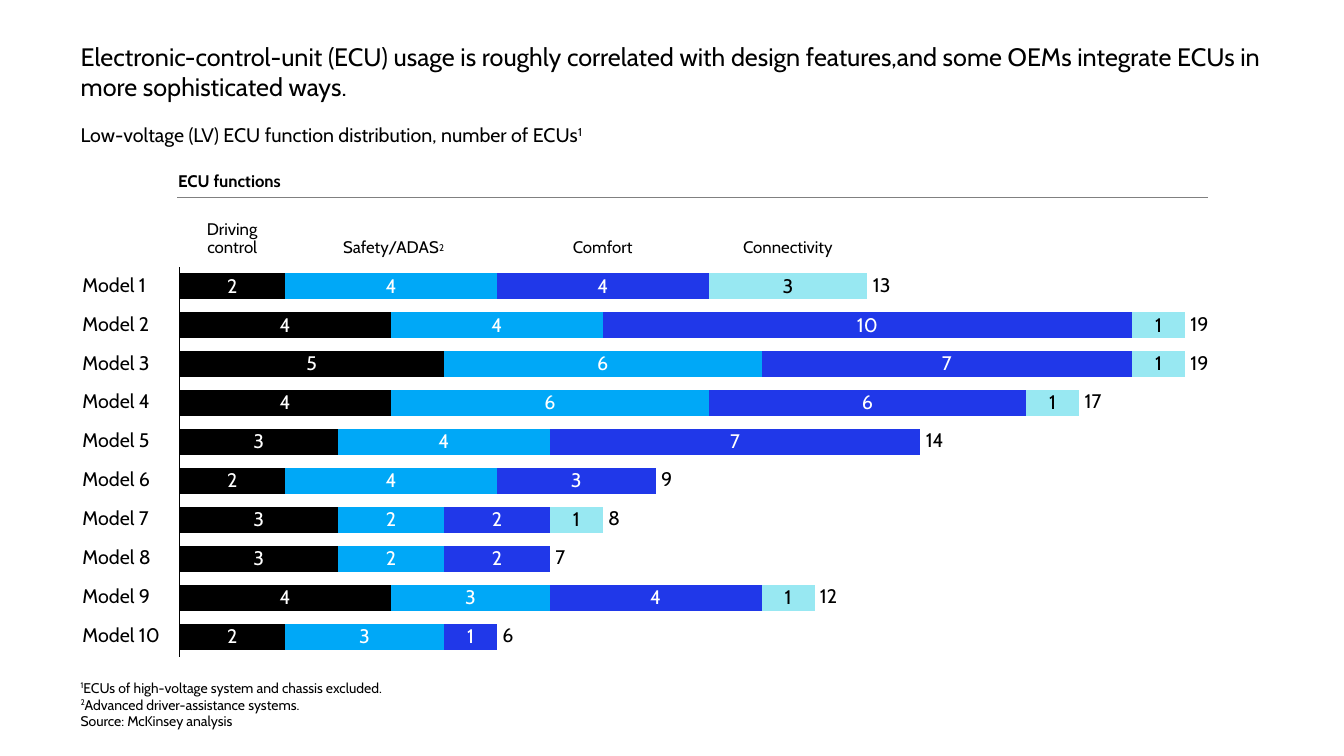
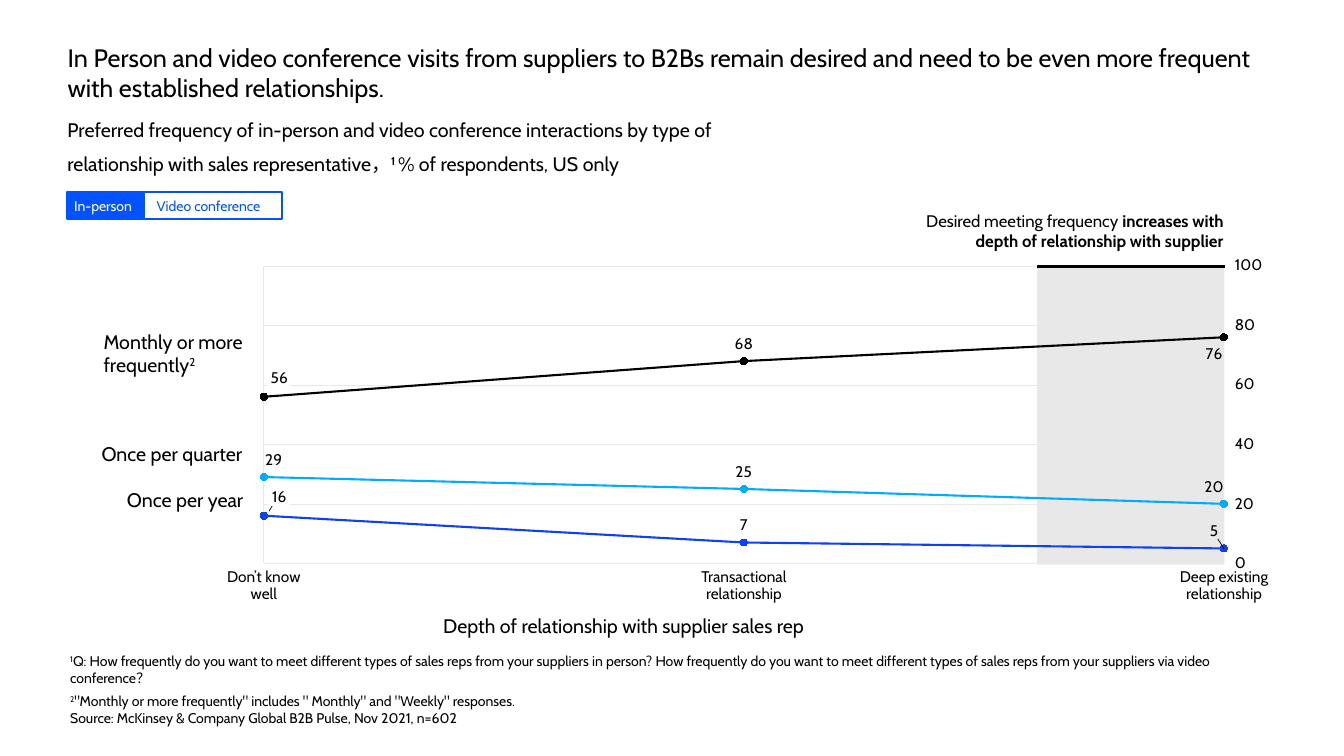
from dataclasses import dataclass
from itertools import accumulate

from lxml import etree
from pptx import Presentation
from pptx.chart.data import CategoryChartData
from pptx.dml.color import RGBColor
from pptx.enum.chart import (XL_CHART_TYPE as CT, XL_LABEL_POSITION as POS,
                             XL_MARKER_STYLE as MARKER, XL_TICK_LABEL_POSITION as TICK_LABEL,
                             XL_TICK_MARK as TICK)
from pptx.enum.shapes import MSO_CONNECTOR as CONN, MSO_SHAPE as SHAPE
from pptx.enum.text import MSO_ANCHOR as ANCHOR, MSO_AUTO_SIZE as AUTO, PP_ALIGN as ALIGN
from pptx.oxml import parse_xml
from pptx.oxml.ns import nsdecls, qn
from pptx.util import Cm, Pt

FONT, EAST_FONT = "Cabin", "Noto Sans CJK SC"
BLACK, WHITE, GREY, PALE = "000000", "FFFFFF", "808080", "E8E8E8"
SKY, ROYAL, AQUA = "00A8F7", "2038E9", "98E8F2"
LINE_SKY, LINE_BLUE, ACCENT = "00ACFB", "1041EF", "0352FF"


@dataclass(frozen=True)
class Run:
    text: str
    bold: bool = False
    sup: bool = False


@dataclass(frozen=True)
class Box:
    """Position and size in centimetres."""
    x: float
    y: float
    w: float
    h: float

    def emu(self) -> tuple:
        return Cm(self.x), Cm(self.y), Cm(self.w), Cm(self.h)


@dataclass(frozen=True)
class Label:
    """Text with its box; each paragraph is a tuple of runs."""
    box: Box
    paras: tuple
    size: float = 14
    color: str = BLACK
    align: ALIGN = ALIGN.LEFT
    anchor: ANCHOR = ANCHOR.TOP
    inset: float | None = None
    spacing: float | None = None
    wrap: bool = False
    fill: str | None = None
    border: str | None = None


@dataclass(frozen=True)
class Series:
    name: str
    values: tuple
    color: str
    label_color: str = WHITE


@dataclass(frozen=True)
class PointLabel:
    """Label of one line point; shift is a share of the chart width."""
    series: int
    point: int
    pos: POS = POS.ABOVE
    shift: float = 0


def rgb(color: str) -> RGBColor:
    return RGBColor.from_string(color)


def one(text: str, **kw) -> tuple:
    """A single paragraph with a single run."""
    return ((Run(text, **kw),),)


def write(tf, label: Label) -> None:
    tf.auto_size = AUTO.NONE
    tf.word_wrap = label.wrap
    tf.vertical_anchor = label.anchor
    if label.inset is not None:
        tf.margin_left = tf.margin_right = Cm(label.inset)
        tf.margin_top = tf.margin_bottom = 0
    for i, runs in enumerate(label.paras):
        p = tf.paragraphs[0] if i == 0 else tf.add_paragraph()
        p.alignment = label.align
        if label.spacing:
            p.line_spacing = label.spacing
        for run in runs:
            for j, piece in enumerate(run.text.split("\n")):
                if j:
                    p.add_line_break()
                r = p.add_run()
                r.text = piece
                r.font.size, r.font.name, r.font.bold = Pt(label.size), FONT, run.bold
                r.font.color.rgb = rgb(label.color)
                rpr = r._r.get_or_add_rPr()
                etree.SubElement(rpr, qn("a:ea")).set("typeface", EAST_FONT)
                if run.sup:
                    rpr.set("baseline", "30000")


def add_rect(slide, box: Box, fill: str, border: str | None = None):
    sp = slide.shapes.add_shape(SHAPE.RECTANGLE, *box.emu())
    sp.shadow.inherit = False
    sp.fill.solid()
    sp.fill.fore_color.rgb = rgb(fill)
    if border:
        set_line(sp.line, border, 1.5)
    else:
        sp.line.fill.background()
    return sp


def add_label(slide, label: Label) -> None:
    if label.fill:
        sp = add_rect(slide, label.box, label.fill, label.border)
    else:
        sp = slide.shapes.add_textbox(*label.box.emu())
    write(sp.text_frame, label)


def set_line(line, color: str, width: float) -> None:
    line.color.rgb, line.width = rgb(color), Pt(width)


def add_line(slide, x1: float, y1: float, x2: float, y2: float, color: str, width: float) -> None:
    line = slide.shapes.add_connector(CONN.STRAIGHT, Cm(x1), Cm(y1), Cm(x2), Cm(y2))
    set_line(line.line, color, width)
    etree.SubElement(line._element.spPr, qn("a:effectLst"))


def new_slide(prs, title: str, box: Box):
    slide = prs.slides.add_slide(prs.slide_layouts[5])
    sp = slide.shapes.title
    sp.left, sp.top, sp.width, sp.height = box.emu()
    write(sp.text_frame, Label(box, one(title), size=18, wrap=True))
    return slide


def manual_layout(x: float, y: float, w: float = 0, h: float = 0):
    """Inner plot layout when sized, otherwise a label offset."""
    tags = [("x", x), ("y", y)]
    if w:
        tags = [("layoutTarget", "inner"), ("xMode", "edge"), ("yMode", "edge"),
                *tags, ("w", w), ("h", h)]
    body = "".join(f'<c:{tag} val="{val}"/>' for tag, val in tags)
    return parse_xml(f'<c:layout {nsdecls("c")}><c:manualLayout>{body}</c:manualLayout></c:layout>')


def add_chart(slide, kind: CT, box: Box, series: list, cats: int, inner: tuple, top: float):
    data = CategoryChartData()
    data.categories = [str(i + 1) for i in range(cats)]
    for s in series:
        data.add_series(s.name, s.values)
    chart = slide.shapes.add_chart(kind, *box.emu(), data).chart
    chart.has_legend = chart.has_title = False
    chart.font.name, chart.font.size = FONT, Pt(10)
    chart.font.color.rgb = rgb(BLACK)
    area = chart._chartSpace.find(f'.//{qn("c:plotArea")}')
    for old in area.findall(qn("c:layout")):
        area.remove(old)
    area.insert(0, manual_layout(*inner))
    for axis in (chart.category_axis, chart.value_axis):
        axis.tick_label_position = TICK_LABEL.NONE
        axis.major_tick_mark = axis.minor_tick_mark = TICK.NONE
        axis.has_major_gridlines = False
    chart.value_axis.minimum_scale, chart.value_axis.maximum_scale = 0, top
    chart.plots[0].vary_by_categories = False
    return chart


def start_on_axis(axis) -> None:
    """Put the first and last category on the edges of the plot."""
    el = axis._element
    cross = el.find(qn("c:crossBetween"))
    if cross is None:
        cross = etree.Element(qn("c:crossBetween"))
        before = el.find(qn("c:crosses"))
        (el.find(qn("c:crossAx")) if before is None else before).addnext(cross)
    cross.set("val", "midCat")


def label_point(ser, pl: PointLabel) -> None:
    label = ser.points[pl.point].data_label
    label.font.size, label.font.name = Pt(11), FONT
    label.font.color.rgb = rgb(BLACK)
    label.position = pl.pos
    if pl.shift:
        d_lbl = next(d for d in ser._element.iter(qn("c:dLbl"))
                     if d.find(qn("c:idx")).get("val") == str(pl.point))
        d_lbl.insert(1, manual_layout(pl.shift, 0))


def ecu_slide(prs) -> None:
    slide = new_slide(prs, "Electronic-control-unit (ECU) usage is roughly correlated with design "
                      "features,and some OEMs integrate ECUs in more sophisticated ways.",
                      Box(1.78, 0.91, 30.61, 1.8))
    add_label(slide, Label(Box(1.78, 2.97, 14.58, 0.86), (
        (Run("Low-voltage (LV) ECU function distribution, number of ECUs"), Run("1", sup=True)),)))
    add_label(slide, Label(Box(4.24, 4.17, 3.4, 0.76), one("ECU functions", bold=True), size=12))
    add_line(slide, 4.47, 4.98, 30.45, 4.98, GREY, 1)

    # Stacked bars
    series = [
        Series("Driving control", (2, 4, 5, 4, 3, 2, 3, 3, 4, 2), BLACK),
        Series("Safety/ADAS", (4, 4, 6, 6, 4, 4, 2, 2, 3, 3), SKY),
        Series("Comfort", (4, 10, 7, 6, 7, 3, 2, 2, 4, 1), ROYAL),
        Series("Connectivity", (3, 1, 1, 1, None, None, 1, None, 1, None), AQUA, BLACK),
    ]
    chart = add_chart(slide, CT.BAR_STACKED, Box(4.29, 5.87, 25.81, 11.53), series, 10,
                      (0.009, 0.074, 0.982, 0.852), 19)
    chart.value_axis.visible = False
    chart.category_axis.reverse_order = True
    set_line(chart.category_axis.format.line, BLACK, 0.75)
    plot = chart.plots[0]
    plot.gap_width, plot.overlap = 50, 100
    for s, ser in zip(series, plot.series):
        ser.format.fill.solid()
        ser.format.fill.fore_color.rgb = rgb(s.color)
        labels = ser.data_labels
        labels.show_value, labels.position = True, POS.CENTER
        labels.font.size, labels.font.name = Pt(14), FONT
        labels.font.color.rgb = rgb(s.label_color)

    # Row names and totals follow the bars
    left, top, unit, pitch = 4.52, 6.72, 25.34 / 19, 0.98
    row = dict(anchor=ANCHOR.MIDDLE, spacing=0.9)
    for i, values in enumerate(zip(*(s.values for s in series))):
        y = top + (i + 0.5) * pitch - 0.27
        total = sum(v or 0 for v in values)
        add_label(slide, Label(Box(2.08, y, 1.83 if i < 9 else 2.11, 0.53),
                               one(f"Model {i + 1}"), inset=0, **row))
        add_label(slide, Label(Box(left + total * unit + 0.06, y, 0.15 + 0.28 * len(str(total)), 0.53),
                               one(str(total)), inset=0.08, **row))

    # Column heads are centred over the segments of the first bar
    first = [s.values[0] for s in series]
    heads = ("Driving\ncontrol", "Safety/ADAS", "Comfort", "Connectivity")
    for head, value, end in zip(heads, first, accumulate(first)):
        x = left + (end - value / 2) * unit
        add_label(slide, Label(Box(x - 1.2, 5.56, 2.4, 0.92), one(head), size=12, inset=0,
                               align=ALIGN.CENTER, anchor=ANCHOR.BOTTOM, spacing=0.9))
    add_label(slide, Label(Box(10.82, 5.92, 0.66, 0.61), one("2", sup=True), size=12))

    # Footnotes
    add_label(slide, Label(Box(1.78, 16.99, 8.92, 1.55), (
        (Run("1", sup=True), Run("ECUs of high-voltage system and chassis excluded.")),
        (Run("2", sup=True), Run("Advanced driver-assistance systems.")),
        (Run("Source: McKinsey analysis"),)), size=10))


def meeting_slide(prs) -> None:
    slide = new_slide(prs, "In Person and video conference visits from suppliers to B2Bs remain desired "
                      "and need to be even more frequent with established relationships.",
                      Box(1.45, 0.94, 30.81, 1.8))
    add_label(slide, Label(Box(1.45, 2.84, 18.36, 0.86), one(
        "Preferred frequency of in-person and video conference interactions by type of")))
    add_label(slide, Label(Box(1.45, 3.71, 15.65, 0.86), (
        (Run("relationship with sales representative，"), Run("1 ", bold=True, sup=True),
         Run("% of respondents, US only")),)))

    # Legend
    legend = dict(size=10, anchor=ANCHOR.MIDDLE, wrap=True, border=ACCENT)
    add_label(slide, Label(Box(1.7, 4.85, 1.93, 0.66), one("In-person"), color=WHITE,
                           fill=ACCENT, inset=0.17, **legend))
    add_label(slide, Label(Box(3.63, 4.85, 3.48, 0.66), one("Video conference"), color=ACCENT,
                           fill=WHITE, inset=0.32, **legend))

    # Highlighted band and line chart
    add_rect(slide, Box(26.14, 6.71, 4.72, 7.52), PALE)
    series = [Series("Monthly or more frequently", (56, 68, 76), BLACK),
              Series("Once per quarter", (29, 25, 20), LINE_SKY),
              Series("Once per year", (16, 7, 5), LINE_BLUE)]
    chart = add_chart(slide, CT.LINE_MARKERS, Box(6.43, 6.02, 24.66, 8.86), series, 3,
                      (0.009, 0.077, 0.981, 0.846), 100)
    axis = chart.value_axis
    axis.major_unit, axis.has_major_gridlines = 20, True
    set_line(axis.major_gridlines.format.line, PALE, 0.25)
    for ax in (axis, chart.category_axis):
        set_line(ax.format.line, PALE, 0.75)
    start_on_axis(axis)
    lines = list(chart.plots[0].series)
    for s, ser in zip(series, lines):
        ser.smooth = False
        set_line(ser.format.line, s.color, 1.5)
        ser.marker.style, ser.marker.size = MARKER.CIRCLE, 5
        ser.marker.format.fill.solid()
        ser.marker.format.fill.fore_color.rgb = rgb(s.color)
        ser.marker.format.line.color.rgb = rgb(s.color)
        ser.data_labels.show_value = False
    shown = [PointLabel(i, 1) for i in range(3)]
    shown += [PointLabel(0, 2, POS.BELOW, -0.01), PointLabel(1, 0, shift=0.01),
              PointLabel(1, 2, shift=-0.01), PointLabel(2, 2, shift=-0.01)]
    for pl in shown:
        label_point(lines[pl.series], pl)

    # Scale, category names and the labels at the left edge
    left, bottom, height = 6.65, 14.2, 7.5
    small = dict(size=11, spacing=0.9)
    for value in range(0, 101, 20):
        add_label(slide, Label(Box(31.12, bottom - value / 100 * height - 0.2, 0.22 * len(str(value)), 0.4),
                               one(str(value)), anchor=ANCHOR.MIDDLE, inset=0, **small))
    stages = ("Don’t know\nwell", "Transactional\nrelationship", "Deep existing\nrelationship")
    for i, stage in enumerate(stages):
        add_label(slide, Label(Box(left + i * 12.1 - 1.2, 14.35, 2.4, 0.84), one(stage),
                               align=ALIGN.CENTER, inset=0, **small))
    for value, y in (("56", 9.35), ("16", 12.34)):
        add_label(slide, Label(Box(6.76, y, 0.56, 0.4), one(value), align=ALIGN.CENTER,
                               anchor=ANCHOR.BOTTOM, inset=0.05, fill=WHITE, **small))
    add_line(slide, 6.86, 12.75, 6.78, 12.88, BLACK, 0.5)
    add_line(slide, 30.69, 13.58, 30.85, 13.83, BLACK, 0.5)

    # Line names, axis title and callout
    add_label(slide, Label(Box(2.36, 8.18, 4.32, 1.45), (
        (Run("Monthly or more"),), (Run("frequently"), Run("2", sup=True)))))
    for text, box in (("Once per quarter", Box(2.31, 11, 4.42, 0.86)),
                      ("Once per year", Box(2.95, 12.17, 3.66, 0.86)),
                      ("Depth of relationship with supplier sales rep", Box(10.92, 15.34, 10.54, 0.86))):
        add_label(slide, Label(box, one(text)))
    add_line(slide, 26.14, 6.71, 30.86, 6.71, BLACK, 2)
    add_label(slide, Label(Box(22.25, 5.18, 8.84, 1.27), (
        (Run("Desired meeting frequency "), Run("increases with", bold=True)),
        (Run("depth of relationship with supplier", bold=True),)), size=12, align=ALIGN.RIGHT))

    # Footnotes
    notes = dict(size=10, wrap=True)
    add_label(slide, Label(Box(1.52, 16.33, 30.35, 1.12), ((Run("1", sup=True), Run(
        "Q: How frequently do you want to meet different types of sales reps from your suppliers in "
        "person? How frequently do you want to meet different types of sales reps from your "
        "suppliers via video conference？")),), **notes))
    add_label(slide, Label(Box(1.52, 17.32, 30.35, 1.12), (
        (Run("2", sup=True),
         Run('"Monthly or more frequently" includes " Monthly" and "Weekly" responses.')),
        (Run("Source: McKinsey & Company Global B2B Pulse, Nov 2021, n=602"),)), **notes))


def main() -> None:
    prs = Presentation()
    prs.slide_width, prs.slide_height = Cm(33.87), Cm(19.05)
    ecu_slide(prs)
    meeting_slide(prs)
    prs.save("out.pptx")


if __name__ == "__main__":
    main()
